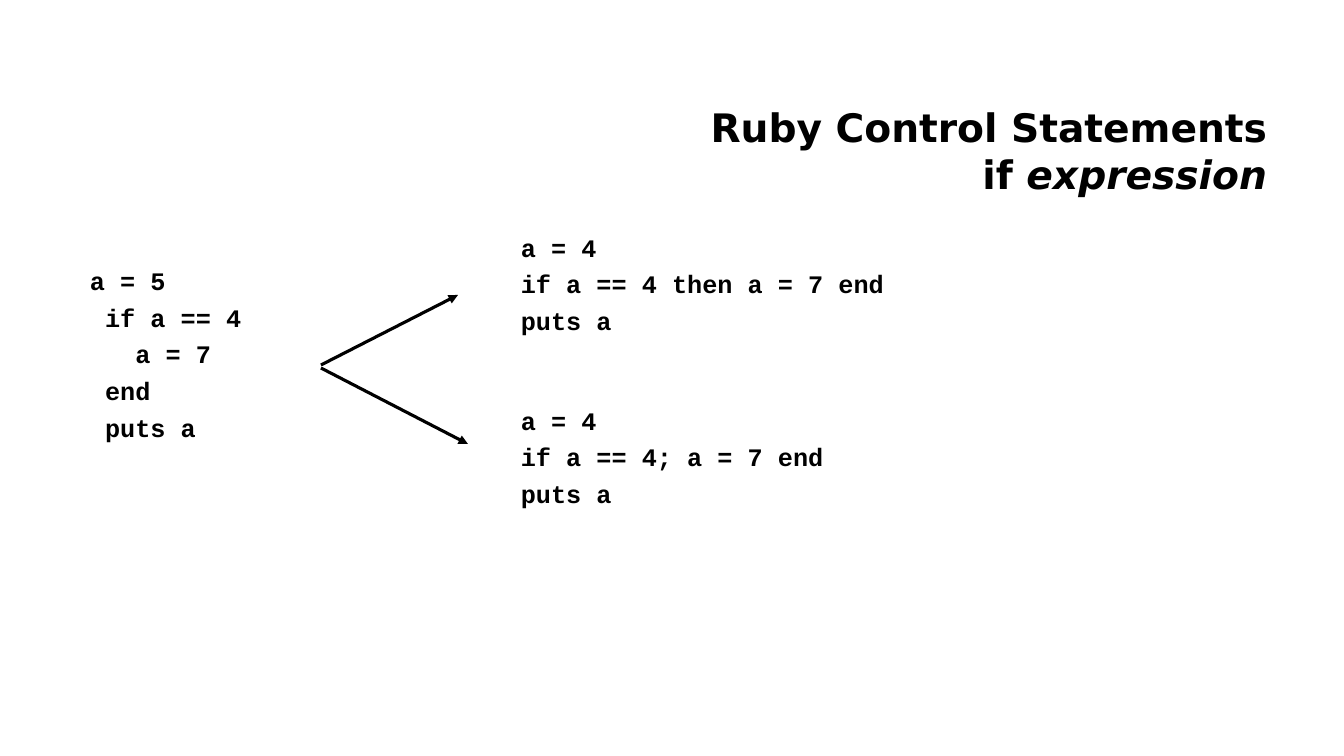
from lxml import etree
from pptx import Presentation
from pptx import util as u
from pptx.dml.color import RGBColor
from pptx.enum import shapes, text
from pptx.oxml import ns

PX = u.Inches(1) / 100.8
COLORS = {"ink": "000000", "background": "FFFFFF"}
TITLE_FONT, CODE_FONT = "DejaVu Sans", "Courier New"

LOOP_CODE = ["a = 5", " if a == 4", "   a = 7", " end", " puts a"]
THEN_CODE = ["a = 4", "if a == 4 then a = 7 end", "puts a"]
SEMICOLON_CODE = ["a = 4", "if a == 4; a = 7 end", "puts a"]


def px(length):
    """Turn picture pixels into EMU."""
    return u.Emu(round(length * PX))


def color(name):
    """Look up a named colour."""
    return RGBColor.from_string(COLORS[name])


def style_run(run, font_name, size, italic=False):
    """Give a run its bold ink font."""
    font = run.font
    font.name, font.size = font_name, u.Pt(size)
    font.bold, font.italic = True, italic
    font.color.rgb = color("ink")


def place_heading(slide, left, top, width, height):
    """Fill the title with its two right-aligned lines."""
    heading = slide.shapes.title
    heading.left, heading.top = px(left), px(top)
    heading.width, heading.height = px(width), px(height)
    frame = heading.text_frame
    frame.word_wrap = True
    frame.auto_size = text.MSO_AUTO_SIZE.NONE
    frame.vertical_anchor = text.MSO_ANCHOR.MIDDLE
    frame.margin_bottom = px(50)
    lines = frame.paragraphs[0]
    lines.text = "Ruby Control Statements\vif "
    lines.alignment = text.PP_ALIGN.RIGHT
    expression = lines.add_run()
    expression.text = "expression"
    for run in lines.runs:
        style_run(run, TITLE_FONT, 28)
    expression.font.italic = True


def place_code(slide, code, left, top, width, height):
    """Set a code sample, one paragraph per line."""
    sample = slide.shapes.add_textbox(px(left), px(top), px(width), px(height))
    frame = sample.text_frame
    frame.word_wrap = True
    frame.text = "\n".join(code)
    for line in frame.paragraphs:
        line.space_before = u.Pt(4.7)
        for run in line.runs:
            style_run(run, CODE_FONT, 18)


def place_arrow(slide, left, top, width, rise):
    """Draw an arrow from its left end; a positive rise points downward."""
    arrow = slide.shapes.add_connector(
        shapes.MSO_CONNECTOR.STRAIGHT,
        px(left), px(top), px(left + width), px(top + rise))
    arrow.line.color.rgb = color("ink")
    arrow.line.width = u.Pt(2.25)
    outline = arrow.line._get_or_add_ln()
    etree.SubElement(outline, ns.qn("a:tailEnd"), type="triangle")
    etree.SubElement(arrow._element.spPr, ns.qn("a:effectLst"))


def build_if_slide(deck):
    """Show an if block and its two one-line forms."""
    slide = deck.slides.add_slide(deck.slide_layouts[5])
    slide.background.fill.solid()
    slide.background.fill.fore_color.rgb = color("background")
    place_heading(slide, 291, 126, 986, 93)
    place_code(slide, LOOP_CODE, 80, 260, 241, 211)
    for code, top in ((THEN_CODE, 227), (SEMICOLON_CODE, 400)):
        place_code(slide, code, 511, top, 467, 138)
    place_arrow(slide, 321, 365, 137, -70)
    place_arrow(slide, 321, 368, 147, 76)


deck = Presentation()
deck.slide_width, deck.slide_height = px(1344), px(756)
build_if_slide(deck)
deck.save("out.pptx")
